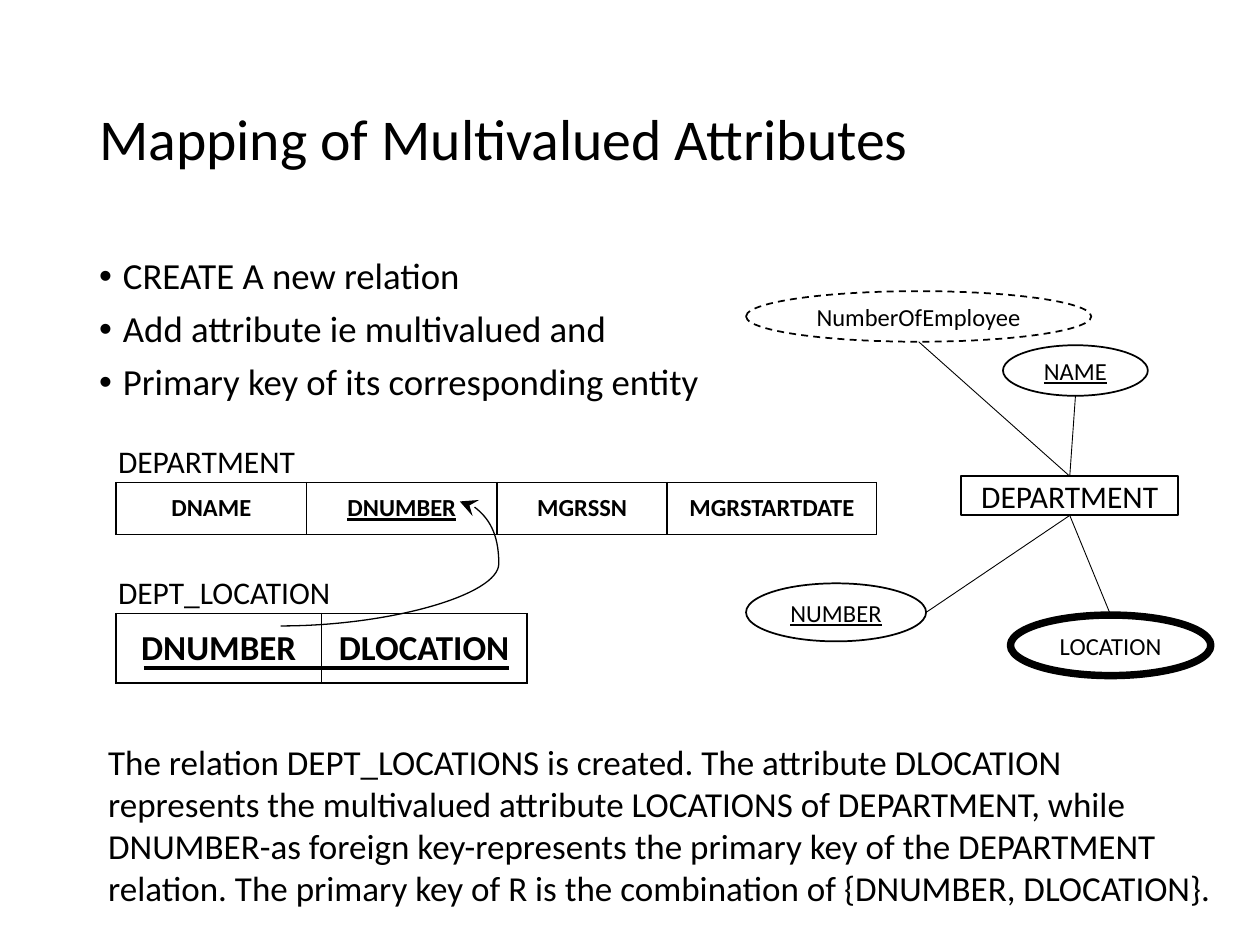
from lxml import etree
from pptx import Presentation
from pptx import util as u
from pptx.dml.color import RGBColor
from pptx.enum import dml, shapes, text
from pptx.oxml.ns import qn

FONT, BLACK = "Calibri", "000000"

# Content: positions and sizes in cm, text sizes in points
TITLE = "Mapping of Multivalued Attributes"
BULLETS = ["CREATE A new relation", "Add attribute ie multivalued and",
           "Primary key of its corresponding entity"]
SUMMARY = ("The relation DEPT_LOCATIONS is created. The attribute DLOCATION "
           "represents the multivalued attribute LOCATIONS of DEPARTMENT, while "
           "DNUMBER-as foreign key-represents the primary key of the DEPARTMENT "
           "relation. The primary key of R is the combination of "
           "{DNUMBER, DLOCATION}.")
# name, top, row height, text size, [(column, width, underlined)]
RELATIONS = [
    ("DEPARTMENT", 9.73, 1.04, 14,
     [("DNAME", 3.84, False), ("DNUMBER", 3.84, True),
      ("MGRSSN", 3.43, False), ("MGRSTARTDATE", 4.22, False)]),
    ("DEPT_LOCATION", 12.37, 1.4, 20,
     [("DNUMBER", 4.14, False), ("DLOCATION", 4.14, False)]),
]
RELATION_LEFT = 2.34
ENTITY = ("DEPARTMENT", (19.38, 9.6, 4.37, 0.79))
# name, box, line width, dashed, underlined, joined side (x, y fractions), entity side
ATTRIBUTES = [
    ("NumberOfEmployee", (15.04, 5.87, 6.96, 1.02), 1, True, False, (0.5, 1), 0),
    ("NAME", (20.22, 6.96, 2.92, 1.02), 1, False, True, (0.5, 1), 0),
    ("NUMBER", (15.04, 11.76, 3.63, 1.17), 1, False, True, (1, 0.5), 2),
    ("LOCATION", (20.37, 12.4, 4.04, 1.22), 4.25, False, False, (0.5, 0), 2),
]
KEY_UNDERLINE = (2.9, 13.46, 10.26, 13.46)
FOREIGN_KEY = (5.66, 12.62, 9.27, 10.11)


def rgb(value):
    return RGBColor.from_string(value)


def add_run(p, words, size, bold=False, underline=False):
    r = p.add_run()
    r.text = words
    f = r.font
    f.name, f.size, f.bold, f.underline = FONT, u.Pt(size), bold, underline
    f.color.rgb = rgb(BLACK)


def add_text(box, paragraphs, size, anchor=text.MSO_ANCHOR.TOP):
    tf = s.shapes.add_textbox(*map(u.Cm, box)).text_frame
    tf.word_wrap, tf.vertical_anchor = True, anchor
    for i, words in enumerate(paragraphs):
        p = tf.add_paragraph() if i else tf.paragraphs[0]
        add_run(p, words, size)
    return tf


def add_node(kind, name, box, size, width, underline=False):
    sp = s.shapes.add_shape(kind, *map(u.Cm, box))
    sp.shadow.inherit = False
    sp.fill.background()
    sp.line.color.rgb, sp.line.width = rgb(BLACK), u.Pt(width)
    tf = sp.text_frame
    tf.vertical_anchor = text.MSO_ANCHOR.MIDDLE
    p = tf.paragraphs[0]
    p.alignment = text.PP_ALIGN.CENTER
    add_run(p, name, size, underline=underline)
    return sp


def add_line(ends, width, kind=shapes.MSO_CONNECTOR.STRAIGHT):
    line = s.shapes.add_connector(kind, *map(u.Cm, ends))
    line.line.color.rgb, line.line.width = rgb(BLACK), u.Pt(width)
    etree.SubElement(line._element.spPr, qn("a:effectLst"))
    return line


def add_borders(cell, width):
    tc_pr = cell._tc.get_or_add_tcPr()
    for side in ("lnL", "lnR", "lnT", "lnB"):
        ln = etree.SubElement(tc_pr, qn(f"a:{side}"), w=str(u.Pt(width)))
        fill = etree.SubElement(ln, qn("a:solidFill"))
        etree.SubElement(fill, qn("a:srgbClr"), val=BLACK)


def add_relation(name, top, height, size, columns):
    add_text((RELATION_LEFT - 0.21, top - 0.94, 4.9, 1.02), [name], 18)
    total = sum(width for _, width, _ in columns)
    table = s.shapes.add_table(1, len(columns), u.Cm(RELATION_LEFT), u.Cm(top),
                               u.Cm(total), u.Cm(height)).table
    table.first_row = table.horz_banding = False
    for i, (column, width, underline) in enumerate(columns):
        table.columns[i].width = u.Cm(width)
        cell = table.cell(0, i)
        add_borders(cell, 1)
        cell.fill.background()
        cell.vertical_anchor = text.MSO_ANCHOR.MIDDLE
        p = cell.text_frame.paragraphs[0]
        p.alignment = text.PP_ALIGN.CENTER
        add_run(p, column, size, True, underline)


prs = Presentation()
prs.slide_width, prs.slide_height = u.Cm(25.4), u.Cm(19.05)
s = prs.slides.add_slide(prs.slide_layouts[6])

# Title and bullets
tf = add_text((1.75, 1.02, 21.89, 3.68), [TITLE], 33, text.MSO_ANCHOR.MIDDLE)
tf.paragraphs[0].line_spacing = 0.9
tf = add_text((1.75, 5.08, 21.89, 12.09), BULLETS, 21)
for i, p in enumerate(tf.paragraphs):
    p.line_spacing = 0.9
    if i:
        p.space_before = u.Pt(7.5)
    p_pr = p._p.get_or_add_pPr()
    p_pr.set("marL", str(u.Cm(0.48)))
    p_pr.set("indent", str(u.Cm(-0.48)))
    etree.SubElement(p_pr, qn("a:buFont"), typeface="Arial")
    etree.SubElement(p_pr, qn("a:buChar"), char="•")

# Relations, with the combined key and the foreign key arrow
for relation in RELATIONS:
    add_relation(*relation)
add_line(KEY_UNDERLINE, 2.25)
arrow = add_line(FOREIGN_KEY, 0.75, shapes.MSO_CONNECTOR.CURVE)
guides = arrow._element.spPr.find(qn("a:prstGeom")).get_or_add_avLst()
etree.SubElement(guides, qn("a:gd"), name="adj1", fmla="val 121800")
etree.SubElement(arrow.line._get_or_add_ln(), qn("a:tailEnd"),
                 type="stealth", w="lg", len="lg")

# Entity and its attributes
entity = add_node(shapes.MSO_SHAPE.RECTANGLE, *ENTITY, 18, 1)
for name, box, width, dashed, underline, (fx, fy), side in ATTRIBUTES:
    oval = add_node(shapes.MSO_SHAPE.OVAL, name, box, 14, width, underline)
    if dashed:
        oval.line.dash_style = dml.MSO_LINE.DASH
    x, y, w, h = box
    line = add_line((x + w * fx, y + h * fy, *ENTITY[1][:2]), 0.5)
    line.end_connect(entity, side)

# Summary
tf = add_text((0.66, 14.81, 24.03, 3.68), [SUMMARY], 20)
tf.paragraphs[0]._p.get_or_add_pPr().set("marL", str(u.Cm(1.27)))

prs.save("out.pptx")
